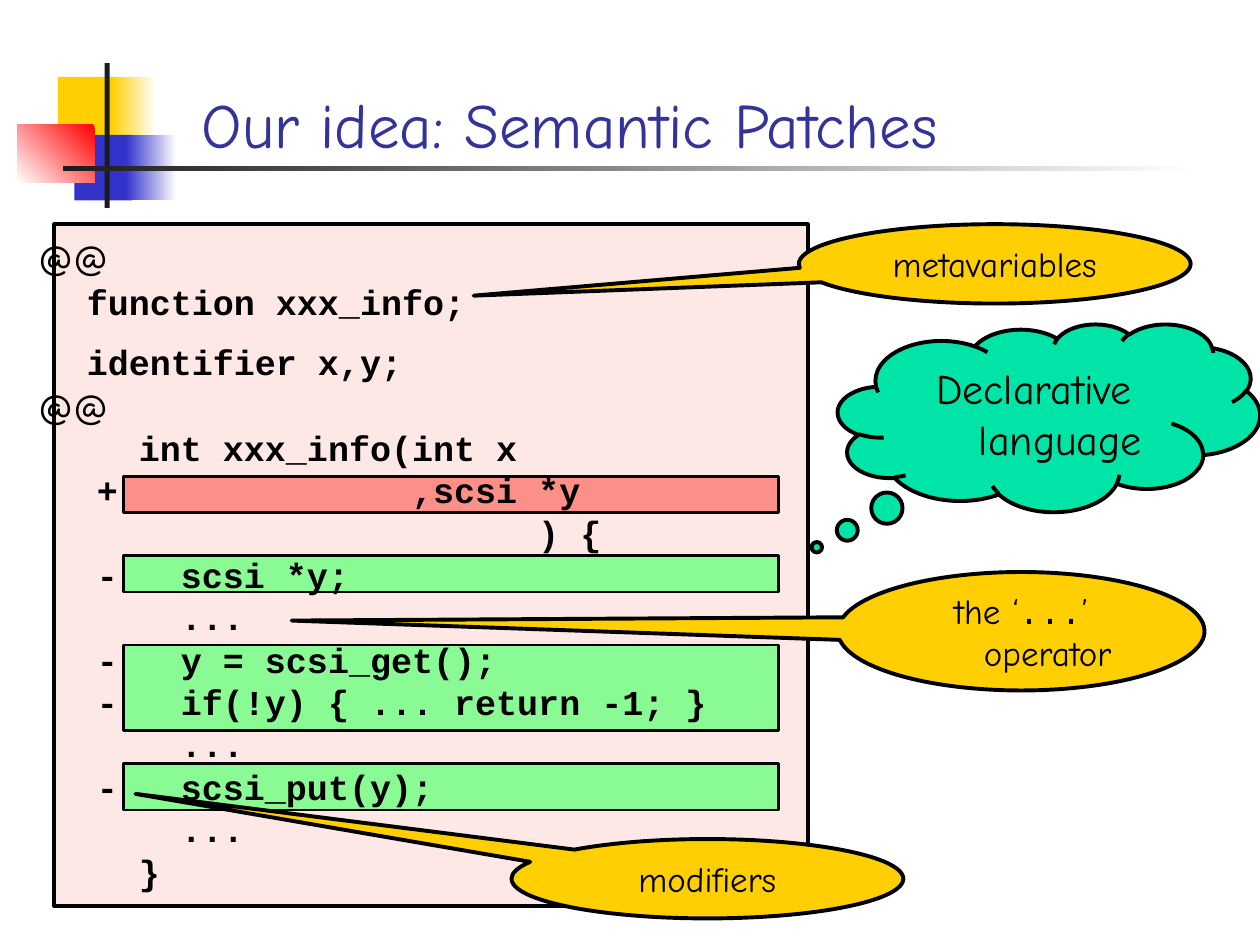
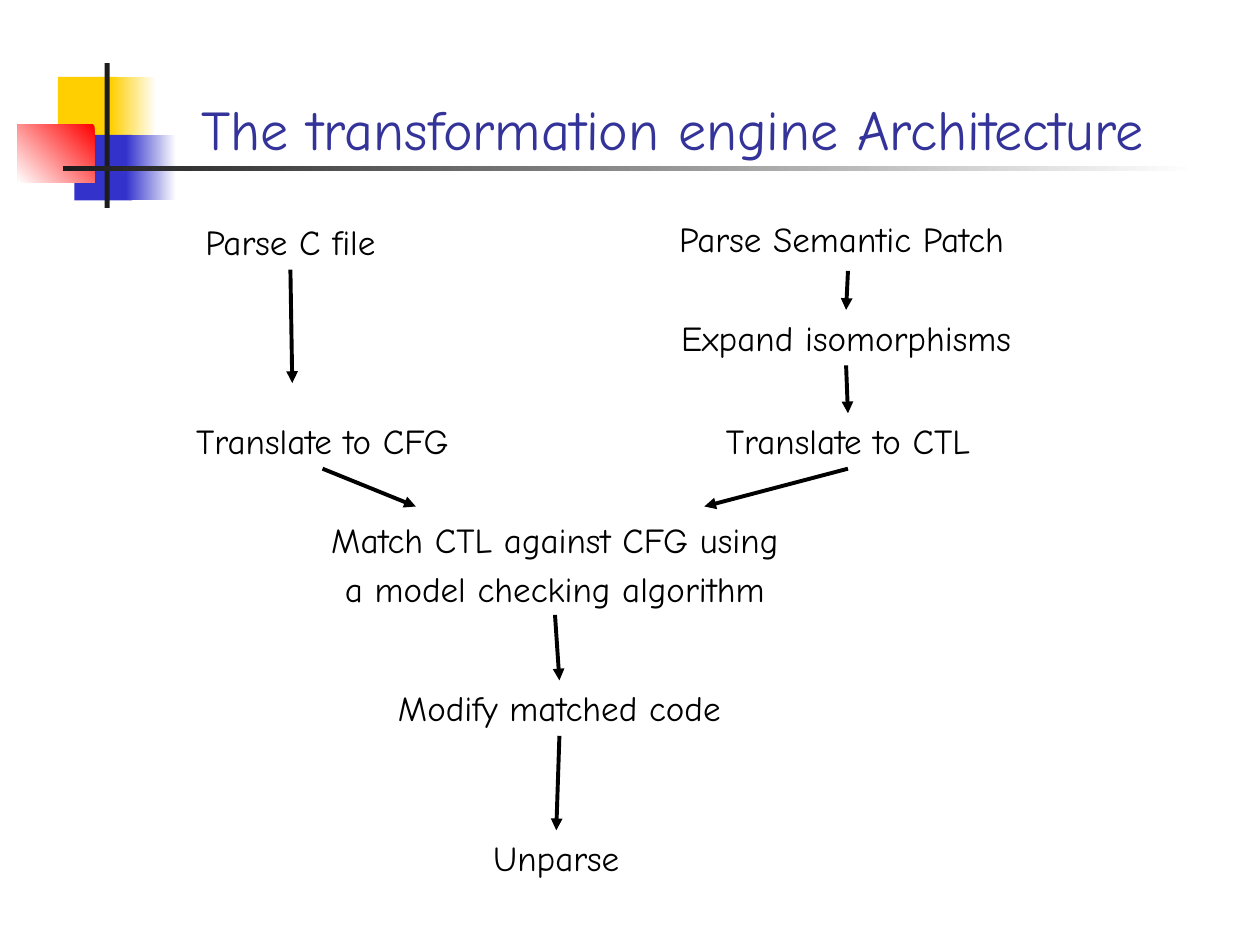
from lxml.etree import SubElement
from pptx import Presentation
from pptx.dml.color import RGBColor
from pptx.enum.shapes import MSO_CONNECTOR, MSO_SHAPE
from pptx.enum.text import MSO_ANCHOR, MSO_AUTO_SIZE, PP_ALIGN
from pptx.oxml.ns import qn
from pptx.util import Pt

PX = 9144
PROSE, CODE = "Comic Neue", "Courier New"
BLACK, WHITE, CHARCOAL = "000000", "FFFFFF", "1C1C1C"
TITLE_BLUE, BLUE, GOLD, RED = "333399", "3333CC", "FFCF01", "FF0000"
PALE_PINK, ADDED, REMOVED, MINT = "FEE8E6", "FC9088", "8AFA95", "00E4A8"

ORNAMENT = [
    ((46, 61, 48, 52), GOLD, None, 0),
    ((88, 61, 36, 52), WHITE, GOLD, 180),
    ((59, 107, 46, 52), BLUE, None, 0),
    ((100, 107, 40, 52), WHITE, BLUE, 180),
    ((14, 99, 61, 46), RED, WHITE, 225),
    ((83, 50, 4, 115), CHARCOAL, None, 0),
    ((50, 132, 900, 4), WHITE, CHARCOAL, 180),
]

PATCH_LINES = [
    "  int xxx_info(int x",
    "+              ,scsi *y",
    "                     ) {",
    "-   scsi *y;",
    "    ...",
    "-   y = scsi_get();",
    "-   if(!y) { ... return -1; }",
    "    ...",
    "-   scsi_put(y);",
    "    ...",
    "  }",
]

CHANGES = [(378, 29, ADDED), (441, 29, REMOVED), (512, 68, REMOVED), (606, 37, REMOVED)]

CALLOUTS = [
    ((634, 178, 311, 63), (-1.33, 0.4), [("metavariables", PROSE)]),
    ((665, 454, 291, 94), (-1.99, -0.09), [("the ‘", PROSE), ("...", CODE), ("’ operator", PROSE)]),
    ((406, 666, 311, 63), (-1.46, -1.07), [("modifiers", PROSE)]),
]

STEPS = {
    "parse code": ((111, 170, 239, 44), ["Parse C file"]),
    "parse patch": ((486, 168, 364, 44), ["Parse Semantic Patch"]),
    "graph": ((130, 328, 252, 44), ["Translate to CFG"]),
    "formula": ((539, 328, 268, 44), ["Translate to CTL"]),
    "expand": ((489, 246, 365, 44), ["Expand isomorphisms"]),
    "match": ((232, 414, 417, 74), ["Match CTL against CFG using", "a model checking algorithm"]),
    "modify": ((264, 540, 360, 44), ["Modify matched code"]),
    "unparse": ((340, 659, 203, 44), ["Unparse"]),
}

ARROWS = [
    ("parse code", (232, 304)),
    ((673, 215), "expand"),
    ("expand", "formula"),
    ("graph", (330, 402)),
    ("formula", (559, 402)),
    ("match", "modify"),
    ("modify", "unparse"),
]


def color(value):
    """Turn a hex string into a colour."""
    return RGBColor.from_string(value)


def emu(lengths):
    """Turn px lengths into EMU."""
    return [length * PX for length in lengths]


def style_font(font, size, name=PROSE, bold=False, ink=BLACK):
    """Set size, face, weight and colour of a font."""
    font.size, font.name, font.bold = Pt(size), name, bold
    font.color.rgb = color(ink)


def hang(para, indent):
    """Give a paragraph a hanging indent."""
    properties = para._p.get_or_add_pPr()
    properties.set("marL", str(indent * PX))
    properties.set("indent", str(-indent * PX))


def add_block(page, frame, fill, kind=MSO_SHAPE.RECTANGLE, border=0, fade=None, angle=0):
    """Add a shape with a plain or fading fill and an optional black border."""
    block = page.shapes.add_shape(kind, *emu(frame))
    block.shadow.inherit = False
    if fade:
        block.fill.gradient()
        block.fill.gradient_angle = angle
        for stop, shade in zip(block.fill.gradient_stops, (fill, fade)):
            stop.color.rgb = color(shade)
    else:
        block.fill.solid()
        block.fill.fore_color.rgb = color(fill)
    if border:
        block.line.width = Pt(border)
        block.line.color.rgb = color(BLACK)
    else:
        block.line.fill.background()
    return block


def add_text(page, frame, lines, size=20, name=PROSE, bold=False,
             align=PP_ALIGN.LEFT, indent=0, spacing=1.0, gap=0):
    """Add a text box with one paragraph for each line."""
    box = page.shapes.add_textbox(*emu(frame))
    box.text_frame.word_wrap = True
    for number, line in enumerate(lines):
        para = box.text_frame.add_paragraph() if number else box.text_frame.paragraphs[0]
        para.text = line
        para.alignment, para.line_spacing = align, spacing
        para.space_before = Pt(gap if number else 0)
        hang(para, indent)
        style_font(para.font, size, name, bold)
    return box


def add_callout(page, kind, frame, tip, fill, spans, size):
    """Add a callout whose tip is given relative to its centre."""
    callout = add_block(page, frame, fill, kind, border=2.25)
    callout.adjustments[0], callout.adjustments[1] = tip
    para = callout.text_frame.paragraphs[0]
    para.alignment = PP_ALIGN.CENTER
    hang(para, 42)
    for text, name in spans:
        span = para.add_run()
        span.text = text
        style_font(span.font, size, name)


def add_arrow(page, boxes, start, end):
    """Draw an arrow between steps, given by name, or loose points."""
    begin_point = (0, 0) if start in boxes else start
    end_point = (0, 0) if end in boxes else end
    arrow = page.shapes.add_connector(MSO_CONNECTOR.STRAIGHT, *emu(begin_point + end_point))
    if start in boxes:
        arrow.begin_connect(boxes[start], 2)
    if end in boxes:
        arrow.end_connect(boxes[end], 0)
    arrow.line.width = Pt(2.25)
    arrow.line.color.rgb = color(BLACK)
    SubElement(arrow.line._get_or_add_ln(), qn("a:tailEnd"), type="triangle")
    SubElement(arrow._element.spPr, qn("a:effectLst"))


def add_page(deck, title, size):
    """Add a page with the shared ornament and title style."""
    page = deck.slides.add_slide(deck.slide_layouts[5])
    for frame, fill, fade, angle in ORNAMENT:
        add_block(page, frame, fill, fade=fade, angle=angle)
    heading = page.shapes.title
    heading.left, heading.top, heading.width, heading.height = emu((150, 8, 852, 125))
    heading.text_frame.text = title
    heading.text_frame.vertical_anchor = MSO_ANCHOR.BOTTOM
    heading.text_frame.auto_size = MSO_AUTO_SIZE.NONE
    para = heading.text_frame.paragraphs[0]
    para.alignment = PP_ALIGN.LEFT
    style_font(para.font, size, ink=TITLE_BLUE)
    return page


def build_patch_page(deck):
    """Show an annotated semantic patch."""
    page = add_page(deck, "Our idea: Semantic Patches", 36)
    add_block(page, (43, 178, 598, 541), PALE_PINK, border=2.25)
    for top, height, fill in CHANGES:
        add_block(page, (98, top, 520, height), fill, border=1.5)
    add_text(page, (67, 340, 520, 410), PATCH_LINES, name=CODE, bold=True,
             indent=38, spacing=0.8, gap=5)
    add_text(page, (59, 218, 402, 138), ["function xxx_info;", "identifier x,y;"],
             name=CODE, bold=True, indent=42, gap=10)
    for top in (178, 296):
        add_text(page, (21, top, 159, 50), ["@@"], size=24, indent=42)
    for frame, tip, spans in CALLOUTS:
        add_callout(page, MSO_SHAPE.OVAL_CALLOUT, frame, tip, GOLD, spans, 20)
    add_callout(page, MSO_SHAPE.CLOUD_CALLOUT, (665, 257, 335, 149), (-0.55, 0.69),
                MINT, [("Declarative language", PROSE)], 24)


def build_engine_page(deck):
    """Show the steps of the transformation engine."""
    page = add_page(deck, "The transformation engine Architecture", 32)
    boxes = {}
    for step, (frame, lines) in STEPS.items():
        spacing = 0.75 if len(lines) > 1 else 1.0
        boxes[step] = add_text(page, frame, lines, align=PP_ALIGN.CENTER,
                               indent=42, spacing=spacing, gap=10)
    for start, end in ARROWS:
        add_arrow(page, boxes, start, end)


def main():
    """Build and save the deck."""
    deck = Presentation()
    deck.slide_width, deck.slide_height = emu((1000, 750))
    build_patch_page(deck)
    build_engine_page(deck)
    deck.save("out.pptx")


if __name__ == "__main__":
    main()
